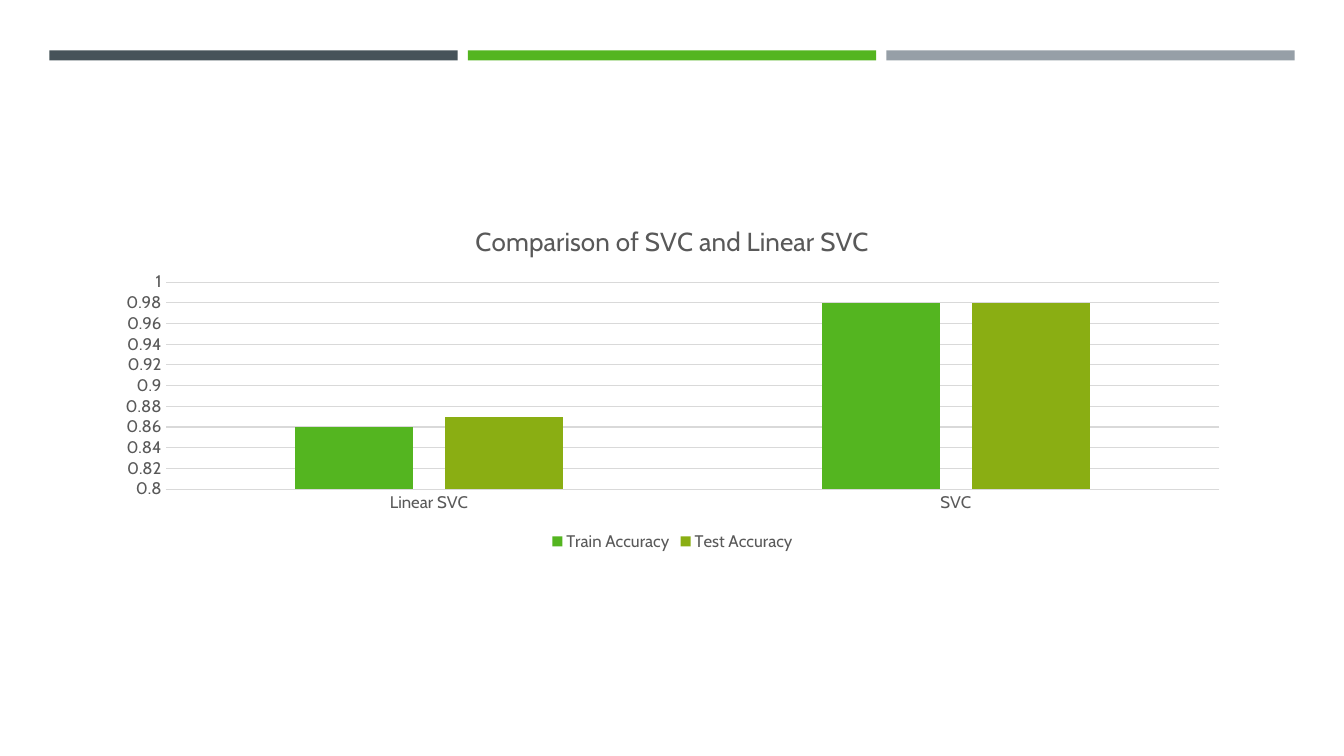
from pptx import Presentation
from pptx.chart.data import CategoryChartData
from pptx.dml.color import RGBColor
from pptx.enum.chart import XL_CHART_TYPE, XL_LEGEND_POSITION, XL_TICK_MARK
from pptx.enum.shapes import MSO_SHAPE
from pptx.util import Inches, Pt

RECTANGLE = MSO_SHAPE.RECTANGLE
COLUMNS = XL_CHART_TYPE.COLUMN_CLUSTERED
BOTTOM = XL_LEGEND_POSITION.BOTTOM
NO_TICK = XL_TICK_MARK.NONE

# Content
TITLE = "Comparison of SVC and Linear SVC"
CATEGORIES = ["Linear SVC", "SVC"]
SERIES = [
    ("Train Accuracy", [0.86, 0.98], "54B520"),
    ("Test Accuracy", [0.87, 0.98], "8AAE13"),
]
BAND_COLOURS = ["465359", "54B520", "969FA7"]

# Style
FONT = "Cabin"
TEXT_COLOUR = "595959"
GRID_COLOUR = "D9D9D9"
BAND_LEFT, BAND_TOP, BAND_WIDTH, BAND_HEIGHT = 0.49, 0.5, 4.05, 0.1
BAND_STEP = 4.15


def colour(value):
    return RGBColor.from_string(value)


def style_font(font, size):
    font.name = FONT
    font.size = Pt(size)
    font.bold = False
    font.color.rgb = colour(TEXT_COLOUR)


def style_line(line):
    line.color.rgb = colour(GRID_COLOUR)
    line.width = Pt(0.75)


deck = Presentation()
deck.slide_width = Inches(13.33)
deck.slide_height = Inches(7.5)
page = deck.slides.add_slide(deck.slide_layouts[6])

# Bands across the top
for index, band_colour in enumerate(BAND_COLOURS):
    band = page.shapes.add_shape(
        RECTANGLE, Inches(BAND_LEFT + index * BAND_STEP), Inches(BAND_TOP),
        Inches(BAND_WIDTH), Inches(BAND_HEIGHT))
    band.shadow.inherit = False
    band.fill.solid()
    band.fill.fore_color.rgb = colour(band_colour)
    band.line.fill.background()

# Accuracy chart
accuracy = CategoryChartData()
accuracy.categories = CATEGORIES
for name, values, _ in SERIES:
    accuracy.add_series(name, values)
chart = page.shapes.add_chart(
    COLUMNS, Inches(1.02), Inches(2.04), Inches(11.3), Inches(3.47),
    accuracy).chart
style_font(chart.font, 12)

# Columns
plot = chart.plots[0]
plot.gap_width = 219
plot.overlap = -27
plot.vary_by_categories = False
for series, (_, _, series_colour) in zip(plot.series, SERIES):
    series.format.fill.solid()
    series.format.fill.fore_color.rgb = colour(series_colour)
    series.invert_if_negative = False

# Chart title
chart.has_title = True
chart.chart_title.include_in_layout = False
span = chart.chart_title.text_frame.paragraphs[0].add_run()
span.text = TITLE
style_font(span.font, 18.6)

# Axes
for axis in (chart.category_axis, chart.value_axis):
    axis.major_tick_mark = NO_TICK
    axis.minor_tick_mark = NO_TICK
    style_font(axis.tick_labels.font, 12)
style_line(chart.category_axis.format.line)
scale = chart.value_axis
scale.minimum_scale = 0.8
scale.maximum_scale = 1
scale.major_unit = 0.02
scale.has_major_gridlines = True
style_line(scale.major_gridlines.format.line)
scale.format.line.fill.background()

# Legend
chart.has_legend = True
chart.legend.position = BOTTOM
chart.legend.include_in_layout = False
style_font(chart.legend.font, 12)

deck.save("out.pptx")
